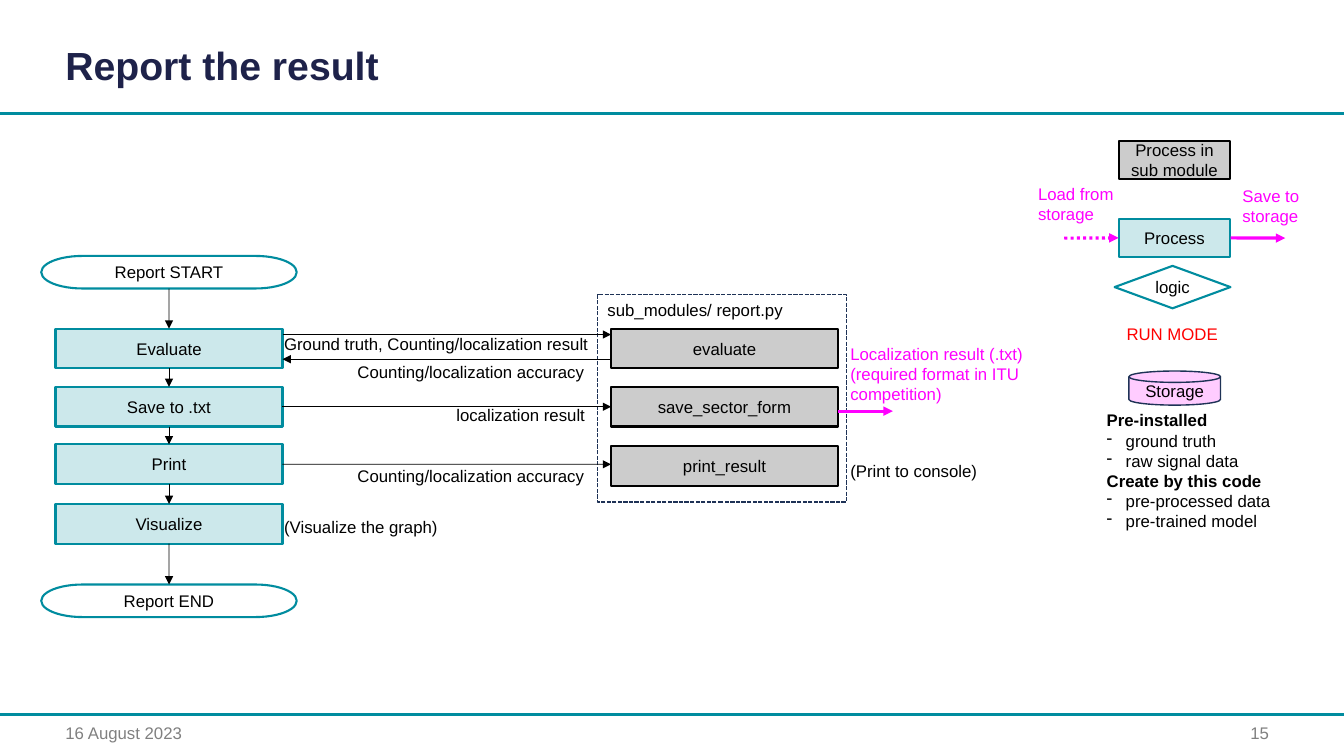
from pptx import Presentation
from pptx.dml.color import RGBColor as Rgb
from pptx.enum.dml import MSO_LINE_DASH_STYLE as Dash
from pptx.enum.shapes import MSO_CONNECTOR as Conn, MSO_SHAPE as Form
from pptx.enum.text import MSO_ANCHOR as Anchor, PP_ALIGN as Align
from pptx.oxml.ns import qn
from pptx.util import Cm, Pt
from lxml.etree import SubElement as Sub
from dataclasses import dataclass


@dataclass(frozen=True)
class Theme:
    font: str = "Arial"
    teal: str = "008C9F"
    navy: str = "1E224A"
    ink: str = "1E3256"
    black: str = "000000"
    white: str = "FFFFFF"
    grey: str = "808080"
    pink: str = "FF00FF"
    red: str = "FF0000"
    body: int = 12
    head: int = 28


look = Theme()
deck = Presentation()
deck.slide_width, deck.slide_height = Cm(33.87), Cm(19.05)
slide = deck.slides.add_slide(deck.slide_layouts[6])


def put(text, at, form=None, fill=None, alpha=None, line=None, width=1.5,
        color=look.black, size=look.body, bold=False, align=None,
        anchor=Anchor.TOP, space=None):
    box = [Cm(n) for n in at]
    if form is None:
        shape = slide.shapes.add_textbox(*box)
    else:
        shape = slide.shapes.add_shape(form, *box)
        shape.shadow.inherit = False
        align, anchor = Align.CENTER, Anchor.MIDDLE
        if fill:
            shape.fill.solid()
            shape.fill.fore_color.rgb = Rgb.from_string(fill)
            if alpha:
                tint = shape.fill._xPr.find(qn("a:solidFill"))[0]
                Sub(tint, qn("a:alpha")).set("val", str(alpha * 1000))
        else:
            shape.fill.background()
        shape.line.color.rgb = Rgb.from_string(line)
        shape.line.width = Pt(width)
    frame = shape.text_frame
    frame.word_wrap = True
    frame.vertical_anchor = anchor
    if form is not None:
        frame.margin_left = frame.margin_right = 0
    rows = text.split("\n") if text else []
    for i, row in enumerate(rows):
        para = frame.add_paragraph() if i else frame.paragraphs[0]
        para.alignment = align
        para.line_spacing = space
        strong = bold
        if row.startswith("- "):
            row = row[2:]
            prop = para._p.get_or_add_pPr()
            prop.set("marL", str(Cm(0.48)))
            prop.set("indent", str(-Cm(0.48)))
            Sub(prop, qn("a:buChar")).set("char", "-")
            strong = False
        run = para.add_run()
        run.text = row
        font = run.font
        font.name, font.size, font.bold = look.font, Pt(size), strong
        font.color.rgb = Rgb.from_string(color)
    return shape


def link(x1, y1, x2, y2, color=look.black, width=0.5, dash=None, tip=True):
    wire = slide.shapes.add_connector(
        Conn.STRAIGHT, Cm(x1), Cm(y1), Cm(x2), Cm(y2))
    wire.line.color.rgb = Rgb.from_string(color)
    wire.line.width = Pt(width)
    if dash:
        wire.line.dash_style = dash
    if tip:
        Sub(wire.line._get_or_add_ln(), qn("a:tailEnd")).set("type", "triangle")
    Sub(wire._element.spPr, qn("a:effectLst"))
    return wire


teal = dict(fill=look.teal, alpha=20, line=look.teal)
dark = dict(fill=look.black, alpha=20, line=look.black)
plain = dict(fill=look.white, line=look.teal)
pink = dict(color=look.pink, width=2.25)

for y in (2.85, 18.01):
    link(0, y, 33.87, y, color=look.teal, width=2, tip=False)
put("Report the result", (1.4, 0.66, 25.37, 1.7), color=look.navy,
    size=look.head, bold=True, anchor=Anchor.BOTTOM, space=0.9)
put("16 August 2023", (1.4, 18.08, 7.37, 1.02), color=look.grey)
put("15", (23.93, 18.08, 8.3, 1.02), color=look.grey, align=Align.RIGHT)

flow = [put("Report START", (1.04, 6.45, 6.44, 0.82), Form.FLOWCHART_TERMINATOR, **plain)]
for name, y in (("Evaluate", 8.28), ("Save to .txt", 9.75),
                ("Print", 11.2), ("Visualize", 12.7)):
    flow.append(put(name, (1.4, y, 5.72, 1), Form.RECTANGLE, **teal))
flow.append(put("Report END", (1.04, 14.73, 6.44, 0.82), Form.FLOWCHART_TERMINATOR, **plain))
for top, low in zip(flow, flow[1:]):
    wire = link(4.26, 7, 4.26, 8)
    wire.begin_connect(top, 2)
    wire.end_connect(low, 0)

group = put("", (15.06, 7.42, 6.27, 5.23), Form.RECTANGLE, line=look.ink, width=1)
group.line.dash_style = Dash.SQUARE_DOT
group.line.dash_style = Dash.DASH
group.line._get_or_add_ln().find(qn("a:prstDash")).set("val", "sysDash")
put("sub_modules/ report.py", (15.06, 7.42, 6.55, 0.76))
subs = [put(name, (15.4, y, 5.72, 1), Form.RECTANGLE, **dark)
        for name, y in (("evaluate", 8.28), ("save_sector_form", 9.75),
                        ("print_result", 11.25))]

link(7.12, 8.43, 15.4, 8.43)
link(15.4, 9.05, 7.12, 9.05)
wire = link(7.12, 10.25, 15.4, 10.25)
wire.begin_connect(flow[2], 3)
wire.end_connect(subs[1], 1)
link(7.12, 11.7, 15.4, 11.7).begin_connect(flow[3], 3)
link(21.13, 10.36, 22.5, 10.36, **pink)

for text, x, y, w in (
        ("Ground truth, Counting/localization result", 6.91, 8.28, 8.33),
        ("Counting/localization accuracy", 8.76, 9, 6.5),
        ("localization result", 11.25, 10.08, 3.76),
        ("Counting/localization accuracy", 8.76, 11.62, 6.5),
        ("(Print to console)", 21.18, 11.48, 3.94),
        ("(Visualize the graph)", 6.91, 12.9, 4.8)):
    put(text, (x, y, w, 0.76))
put("Localization result (.txt)\n(required format in ITU competition)",
    (21.18, 8.53, 5.59, 1.8), color=look.pink)

put("Process in\nsub module", (28.19, 3.55, 2.82, 0.97), Form.RECTANGLE, **dark)
step = put("Process", (28.19, 5.51, 2.82, 0.97), Form.RECTANGLE, **teal)
put("logic", (28.09, 6.7, 2.92, 1.07), Form.FLOWCHART_DECISION, **plain)
put("RUN MODE", (28.14, 8.03, 2.92, 0.76), color=look.red)
put("Storage", (28.45, 9.35, 2.31, 0.86), Form.FLOWCHART_MAGNETIC_DISK,
    fill=look.pink, alpha=20, line=look.ink, width=1)
put("Pre-installed\n- ground truth\n- raw signal data\n"
    "Create by this code\n- pre-processed data\n- pre-trained model",
    (27.64, 10.21, 4.8, 3.33), bold=True)
link(26.82, 6, 28.19, 6, dash=Dash.ROUND_DOT, **pink).end_connect(step, 1)
link(31.01, 6, 32.39, 6, **pink).begin_connect(step, 3)
put("Load from\nstorage", (25.91, 4.5, 2.82, 1.27), color=look.pink)
put("Save to\nstorage", (31.06, 4.55, 2.44, 1.27), color=look.pink)

deck.save("out.pptx")
